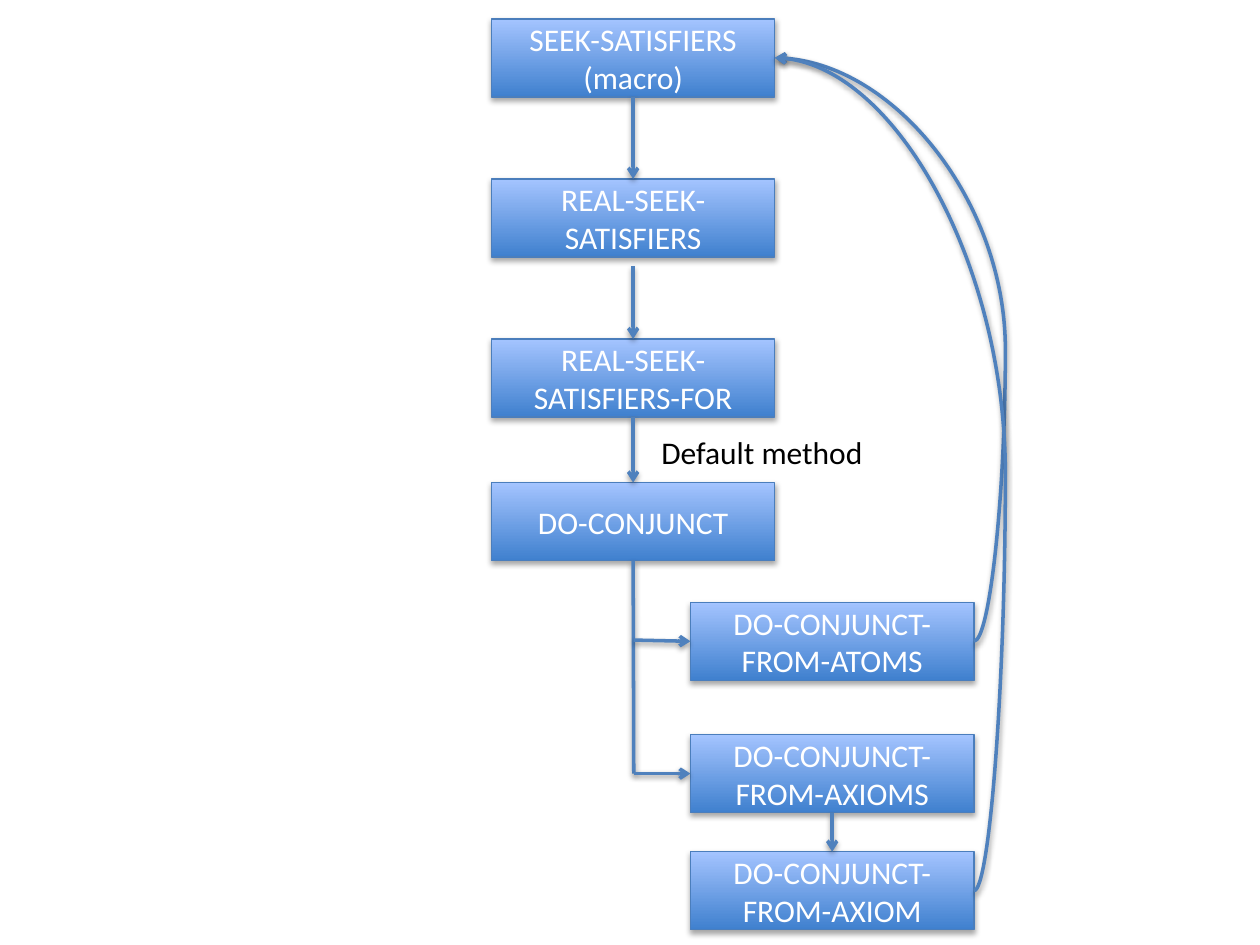
import dataclasses

import pptx
import pptx.dml.color
import pptx.enum.shapes
import pptx.enum.text
import pptx.oxml
import pptx.oxml.ns
import pptx.util

Inches, Pt = pptx.util.Inches, pptx.util.Pt
RGB = pptx.dml.color.RGBColor.from_string
CXN = pptx.enum.shapes.MSO_CONNECTOR
ALIGN = pptx.enum.text.PP_ALIGN
ANCHOR = pptx.enum.text.MSO_ANCHOR
TOP, LEFT, BOTTOM, RIGHT = range(4)


@dataclasses.dataclass(frozen=True)
class Theme:
    """Colours, type and sizes used on the slide."""
    font: str = "Calibri"
    size: float = 18
    dark: str = "3F80CE"
    light: str = "A4C4FF"
    edge: str = "4B7EBC"
    arrow: str = "4F81BD"
    on_box: str = "FFFFFF"
    ink: str = "000000"
    box_w: float = 2.25
    box_h: float = 0.62


T = Theme()


def write(tf, text, color=T.ink, align=ALIGN.LEFT, anchor=ANCHOR.TOP, wrap=True):
    """Fill a text frame, one paragraph for each line of text."""
    tf.word_wrap, tf.vertical_anchor = wrap, anchor
    for i, line in enumerate(text.split("\n")):
        p = tf.paragraphs[0] if i == 0 else tf.add_paragraph()
        p.alignment = align
        r = p.add_run()
        r.text = line
        r.font.name, r.font.size = T.font, Pt(T.size)
        r.font.color.rgb = RGB(color)


def add_shadow(sp, dist, alpha):
    """Put a soft shadow below a shape or connector."""
    props = sp._element.spPr
    for old in props.findall(pptx.oxml.ns.qn("a:effectLst")):
        props.remove(old)
    props.append(pptx.oxml.parse_xml(
        f'<a:effectLst {pptx.oxml.ns.nsdecls("a")}>'
        f'<a:outerShdw blurRad="{Pt(3.15)}" dist="{Pt(dist)}" dir="5400000" rotWithShape="0">'
        f'<a:srgbClr val="000000"><a:alpha val="{alpha * 1000}"/></a:srgbClr>'
        '</a:outerShdw></a:effectLst>'))


def add_box(s, x, y, text):
    """Add one gradient step box."""
    sp = s.shapes.add_shape(pptx.enum.shapes.MSO_SHAPE.RECTANGLE, Inches(x), Inches(y),
                            Inches(T.box_w), Inches(T.box_h))
    sp.fill.gradient()
    sp.fill.gradient_angle = 90
    for stop, color, pos in zip(sp.fill.gradient_stops, (T.dark, T.light), (0, 1)):
        stop.color.rgb, stop.position = RGB(color), pos
    sp.line.color.rgb, sp.line.width = RGB(T.edge), Pt(0.75)
    sp.shadow.inherit = False
    add_shadow(sp, 1.8, 35)
    write(sp.text_frame, text, color=T.on_box, align=ALIGN.CENTER, anchor=ANCHOR.MIDDLE)
    return sp


def add_line(s, start=(0, 0), end=(0, 0), source=None, target=None, kind=CXN.STRAIGHT,
             arrow=True, bend=None):
    """Add a connector between points, or glued to (shape, site) pairs."""
    c = s.shapes.add_connector(kind, *[Inches(v) for v in (*start, *end)])
    if source:
        c.begin_connect(*source)
    if target:
        c.end_connect(*target)
    c.line.color.rgb, c.line.width = RGB(T.arrow), Pt(2)
    ns = pptx.oxml.ns.nsdecls("a")
    if arrow:
        c.line._get_or_add_ln().append(pptx.oxml.parse_xml(f'<a:tailEnd {ns} type="arrow"/>'))
    if bend is not None:
        guides = c._element.spPr.find(".//" + pptx.oxml.ns.qn("a:avLst"))
        guides.append(pptx.oxml.parse_xml(
            f'<a:gd {ns} name="adj1" fmla="val {round(bend * 100000)}"/>'))
    add_shadow(c, 1.6, 38)


def add_call_chain(s, x, y):
    """Stack the main calls from the top left corner given."""
    steps = (("SEEK-SATISFIERS\n(macro)", 0), ("REAL-SEEK-SATISFIERS", 1.27),
             ("REAL-SEEK-SATISFIERS-FOR", 2.54), ("DO-CONJUNCT", 3.68))
    macro, real, real_for, conjunct = [add_box(s, x, y + dy, text) for text, dy in steps]
    add_line(s, source=(macro, BOTTOM), target=(real, TOP))
    add_line(s, start=(x + T.box_w / 2, y + 1.96), target=(real_for, TOP))
    add_line(s, source=(real_for, BOTTOM), target=(conjunct, TOP))
    label = s.shapes.add_textbox(Inches(x + 1.25), Inches(y + 3.24), Inches(1.82), Inches(0.4))
    write(label.text_frame, "Default method", wrap=False)
    return macro, conjunct


def add_branches(s, x, y, macro, conjunct):
    """Place the sub-calls, the trunk that feeds them and the curves back."""
    steps = (("DO-CONJUNCT-FROM-ATOMS", 0), ("DO-CONJUNCT-FROM-AXIOMS", 1.05),
             ("DO-CONJUNCT-FROM-AXIOM", 1.98))
    atoms, axioms, axiom = [add_box(s, x, y + dy, text) for text, dy in steps]
    trunk = x - 0.45
    foot = y + 1.05 + T.box_h / 2
    add_line(s, end=(trunk, foot), source=(conjunct, BOTTOM), arrow=False)
    add_line(s, start=(trunk, y + 0.3), target=(atoms, LEFT))
    add_line(s, start=(trunk, foot), target=(axioms, LEFT))
    add_line(s, source=(axioms, BOTTOM), target=(axiom, TOP))
    for sp in (atoms, axiom):
        add_line(s, source=(sp, RIGHT), target=(macro, RIGHT), kind=CXN.CURVE, bend=-0.158)


def main():
    """Build and save the slide."""
    prs = pptx.Presentation()
    prs.slide_width, prs.slide_height = Inches(10), Inches(7.5)
    s = prs.slides.add_slide(prs.slide_layouts[6])
    macro, conjunct = add_call_chain(s, 3.9, 0.15)
    add_branches(s, 5.48, 4.78, macro, conjunct)
    prs.save("out.pptx")


main()
